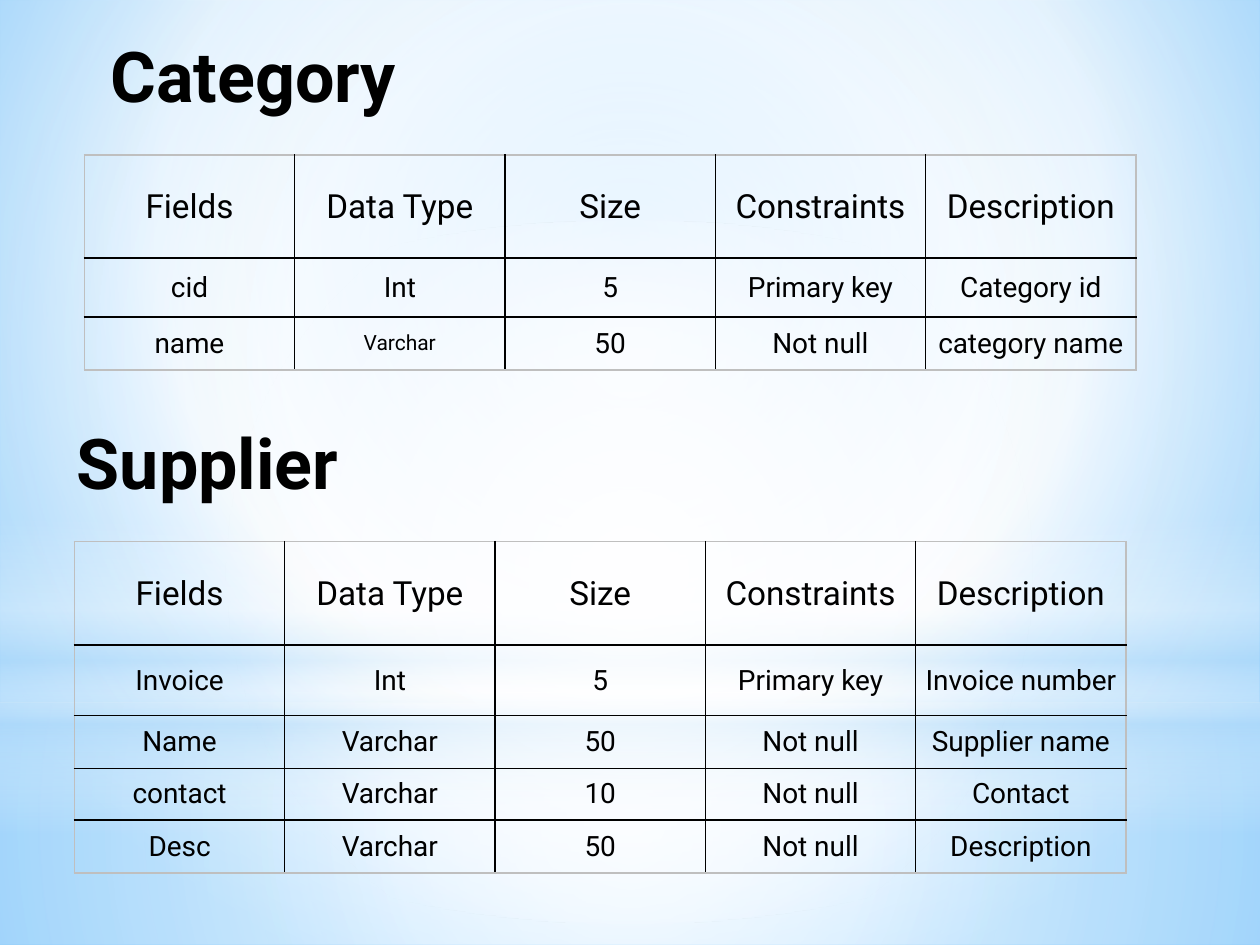
"""Build a slide with the field tables of Category and Supplier."""
from lxml import etree
from pptx import Presentation
from pptx import util as u
from pptx.dml.color import RGBColor
from pptx.enum import shapes, text
from pptx.oxml import parse_xml
from pptx.oxml.ns import nsdecls, qn


def paint(holder, stops, shade):
    grad = holder.find(".//" + qn("a:gradFill"))
    marks = "".join(
        f'<a:gs pos="{place * 1000}"><a:srgbClr val="{colour}">'
        f'<a:alpha val="{alpha * 1000}"/></a:srgbClr></a:gs>'
        for place, colour, alpha in stops)
    fresh = parse_xml(f'<a:gradFill {nsdecls("a")} rotWithShape="1">'
                      f'<a:gsLst>{marks}</a:gsLst>{shade}</a:gradFill>')
    grad.getparent().replace(grad, fresh)


def write(para, words, size, colour, bold=False):
    span = para.add_run()
    span.text = words
    span.font.name = "Roboto"
    span.font.size = u.Pt(size)
    span.font.bold = bold
    span.font.color.rgb = RGBColor.from_string(colour)


CIRCLE = '<a:path path="circle"><a:fillToRect l="{}" t="{}" r="{}" b="{}"/></a:path>'
CENTRE = CIRCLE.format(*[50000] * 4)
DOWN = '<a:lin ang="5400000" scaled="0"/>'
INK, FRAME, WHITE, SKY = "000000", "BFBFBF", "FFFFFF", "B4DCFA"

deck = Presentation()
deck.slide_width, deck.slide_height = u.Cm(25.4), u.Cm(19.05)
page = deck.slides.add_slide(deck.slide_layouts[6])

page.background.fill.gradient()
paint(page._element, [(0, "9ED5FF", 100), (60, WHITE, 100), (100, "5BB9FF", 100)],
      CIRCLE.format(20000, 10000, 20000, 60000))

rectangle, oval = shapes.MSO_SHAPE.RECTANGLE, shapes.MSO_SHAPE.OVAL
glows = [
    (rectangle, 14.17, 4.88, [(0, WHITE, 91), (37, WHITE, 76), (100, SKY, 79)], CENTRE),
    (rectangle, 0, 14.17, [(0, WHITE, 89), (48, WHITE, 62), (100, SKY, 79)], CENTRE),
    (rectangle, 10.46, 6.35, [(0, WHITE, 0), (29, WHITE, 30), (45, SKY, 40),
                              (55, WHITE, 26), (65, SKY, 60), (100, WHITE, 0)], DOWN),
    (oval, 4.45, 14.17, [(0, WHITE, 100), (56, WHITE, 0)], CENTRE),
]
for kind, top, height, stops, shade in glows:
    glow = page.shapes.add_shape(kind, 0, u.Cm(top), deck.slide_width, u.Cm(height))
    glow.shadow.inherit = False
    glow.line.fill.background()
    glow.fill.gradient()
    paint(glow._element.spPr, stops, shade)

header = ["Fields", "Data Type", "Size", "Constraints", "Description"]
sections = [
    ("Category", (1.98, 0.53, 6.81), (1.7, 3.12), [2.08, 1.19, 1.07], [
        header,
        ["cid", "Int", "5", "Primary key", "Category id"],
        ["name", "Varchar", "50", "Not null", "category name"]]),
    ("Supplier", (1.3, 8.33, 9.6), (1.5, 10.92), [2.08, 1.42, 1.07, 1.04, 1.07], [
        header,
        ["Invoice", "Int", "5", "Primary key", "Invoice number"],
        ["Name", "Varchar", "50", "Not null", "Supplier name"],
        ["contact", "Varchar", "10", "Not null", "Contact"],
        ["Desc", "Varchar", "50", "Not null", "Description"]]),
]
column_width = 4.24

for title, (left, top, width), corner, heights, rows in sections:
    box = page.shapes.add_textbox(u.Cm(left), u.Cm(top), u.Cm(width), u.Cm(1.96))
    box.text_frame.word_wrap = True
    box.text_frame.auto_size = text.MSO_AUTO_SIZE.SHAPE_TO_FIT_TEXT
    write(box.text_frame.paragraphs[0], title, 40, INK, True)

    table = page.shapes.add_table(
        len(rows), len(header), u.Cm(corner[0]), u.Cm(corner[1]),
        u.Cm(column_width * len(header)), u.Cm(sum(heights))).table
    table.first_row = table.horz_banding = False
    for column in table.columns:
        column.width = u.Cm(column_width)
    for y, (height, row) in enumerate(zip(heights, rows)):
        table.rows[y].height = u.Cm(height)
        for x, words in enumerate(row):
            cell = table.cell(y, x)
            cell.fill.background()
            cell.vertical_anchor = text.MSO_ANCHOR.MIDDLE
            cell.margin_left = cell.margin_right = u.Cm(0.18)
            cell.margin_top = cell.margin_bottom = 0
            para = cell.text_frame.paragraphs[0]
            para.alignment = text.PP_ALIGN.CENTER
            if y < 2:
                para.line_spacing = 1.05
                para.space_after = u.Pt(8)
            small = title == "Category" and words == "Varchar"
            write(para, words, 19 if y == 0 else 12 if small else 16, INK)

            outer = {"lnL": x == 0, "lnR": x == len(header) - 1,
                     "lnT": y == 0, "lnB": y == len(rows) - 1}
            properties = cell._tc.get_or_add_tcPr()
            for place, (side, at_edge) in enumerate(outer.items()):
                border = etree.Element(qn("a:" + side), w=str(u.Pt(1)))
                solid = etree.SubElement(border, qn("a:solidFill"))
                etree.SubElement(solid, qn("a:srgbClr"), val=FRAME if at_edge else INK)
                properties.insert(place, border)

deck.save("out.pptx")
